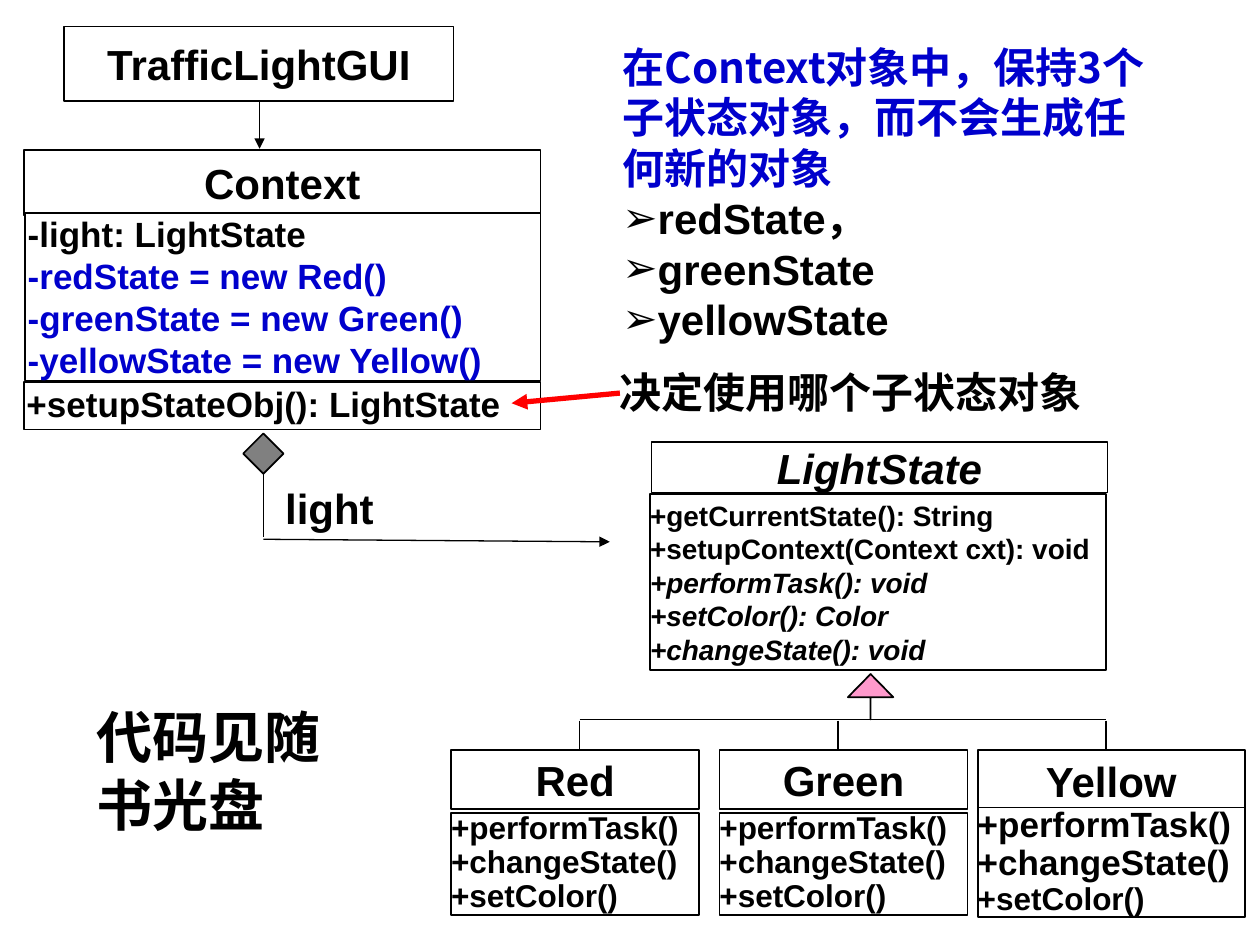
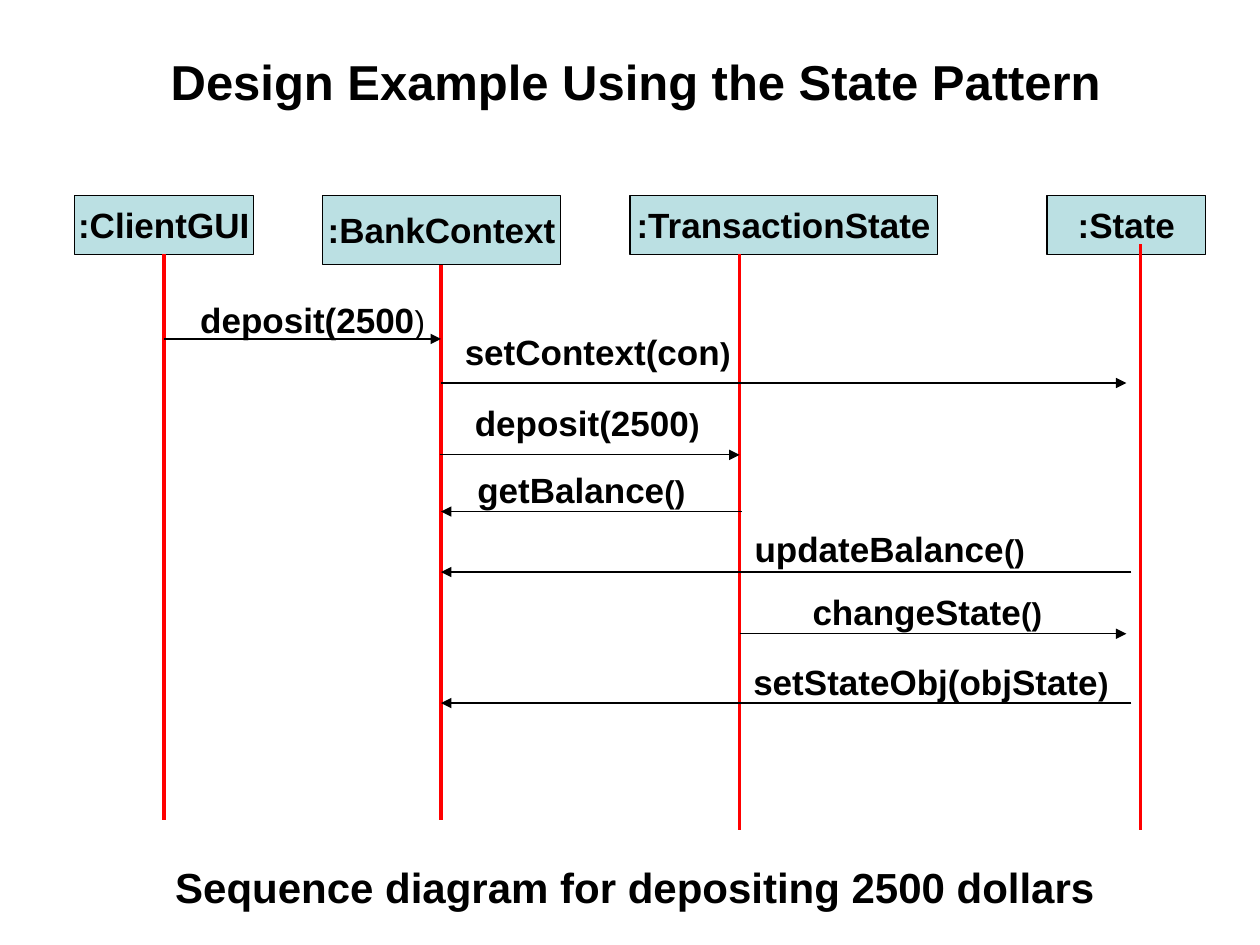
"""Builds two slides on the State pattern: a class diagram and a sequence diagram."""
import lxml.etree
import pptx
import pptx.dml.color
import pptx.enum.shapes
import pptx.enum.text
import pptx.oxml.ns
import pptx.util

PX = 9144
COLORS = {"ink": "000000", "paper": "FFFFFF", "accent": "0000CC", "red": "FF0000",
          "pink": "FF99CC", "gray": "808080", "teal": "BBE0E3"}
LATIN, CHINESE = "Arial", "Noto Sans CJK SC"
SHAPES = pptx.enum.shapes.MSO_SHAPE
ALIGN = pptx.enum.text.PP_ALIGN
ANCHOR = pptx.enum.text.MSO_ANCHOR
qn = pptx.oxml.ns.qn

ITALIC, BLUE = {"italic": True}, {"color": "accent"}
CENTER = {"align": ALIGN.CENTER}
TIGHT = {"size": 18, "spacing": 0.9}
METHODS = ["+performTask()", "+changeState()", "+setColor()"]

CLASS_BOXES = [
    ((51, 21, 309, 59), ["TrafficLightGUI"], (6, 3), CENTER),
    ((19, 119, 410, 52), ["Context"], (6, 3), CENTER),
    ((19, 303, 410, 38), ["+setupStateObj(): LightState"], (2, 4), {"size": 20, "spacing": 0.9}),
    ((20, 169, 409, 133),
     ["-light: LightState", ("-redState = new Red()", BLUE),
      ("-greenState = new Green()", BLUE), ("-yellowState = new Yellow()", BLUE)],
     (2, 0), {"size": 20}),
    ((517, 351, 362, 40), [("LightState", ITALIC)], (0, 0), CENTER),
    ((516, 392, 362, 140),
     ["+getCurrentState(): String", "+setupContext(Context cxt): void",
      ("+performTask(): void", ITALIC), ("+setColor(): Color", ITALIC),
      ("+changeState(): void", ITALIC)], (0, 0), {"size": 16}),
    ((358, 595, 197, 47), ["Red"], (0, 0), CENTER),
    ((358, 645, 197, 81), METHODS, (0, 0), TIGHT),
    ((571, 595, 197, 47), ["Green"], (0, 0), CENTER),
    ((571, 645, 197, 81), METHODS, (0, 0), TIGHT),
    ((776, 595, 212, 49), ["Yellow"], (0, 0), CENTER),
    ((776, 641, 212, 87), [(name, {"size": 20}) for name in METHODS[:2]] + METHODS[2:],
     (0, 0), TIGHT),
]
CLASS_LINKS = [
    ((206, 80, 206, 118), 0.75, True),
    ((209, 375, 209, 426), 0.75, False),
    ((209, 428, 484, 430), 0.75, True),
    ((460, 571, 878, 571), 1, False),
    *[((x, 572, x, 595), 1, False) for x in (460, 665, 878)],
]
STATE_NOTE = "在Context对象中，保持3个子状态对象，而不会生成任何新的对象"
STATE_NAMES = ["redState，", "greenState", "yellowState"]
CHOICE_NOTE = "决定使用哪个子状态对象"
CODE_NOTE = ["代码见随", "书光盘"]

SEQUENCE_TITLE = "Design Example Using the State Pattern"
SEQUENCE_CAPTION = "Sequence diagram for depositing 2500 dollars"
PARTICIPANTS = [
    (":ClientGUI", (59, 155, 142, 47), (130, 202, 651)),
    (":BankContext", (256, 155, 189, 55), (350, 210, 651)),
    (":TransactionState", (500, 155, 244, 47), (587, 202, 659)),
    (":State", (831, 155, 126, 47), (905, 194, 659)),
]
MESSAGES = [
    ("deposit(2500", ")", (159, 237), 0, (130, 350, 269)),
    ("setContext(con", ")", (369, 262), 1, (350, 894, 304)),
    ("deposit(2500", ")", (377, 319), 1, (349, 587, 361)),
    ("getBalance", "()", (379, 372), 1, (589, 350, 406)),
    ("updateBalance", "()", (599, 419), 1, (898, 350, 454)),
    ("changeState", "()", (645, 469), 1, (587, 894, 503)),
    ("setStateObj(objState", ")", (598, 524), 1, (898, 350, 558)),
]


def px(*lengths):
    return [pptx.util.Emu(length * PX) for length in lengths]


def rgb(name):
    return pptx.dml.color.RGBColor.from_string(COLORS[name])


def write(frame, lines, inset=(10, 5), anchor=ANCHOR.TOP, wrap=True, bullet_from=None, **style):
    frame.word_wrap = wrap
    frame.auto_size = pptx.enum.text.MSO_AUTO_SIZE.NONE
    frame.vertical_anchor = anchor
    frame.margin_left, frame.margin_top = frame.margin_right, frame.margin_bottom = px(*inset)
    for index, line in enumerate(lines):
        text, changes = (line, {}) if isinstance(line, str) else line
        look = {**style, **changes}
        para = frame.paragraphs[0] if index == 0 else frame.add_paragraph()
        para.text = text
        para.alignment = look.get("align", ALIGN.LEFT)
        para.line_spacing = look.get("spacing", 1.0)
        para.space_before = pptx.util.Pt(0)
        if bullet_from is not None:
            set_bullet(para, index >= bullet_from)
        font = para.font
        font.size = pptx.util.Pt(look.get("size", 24))
        font.bold = True
        font.italic = look.get("italic", False)
        font.color.rgb = rgb(look.get("color", "ink"))
        font.name = look.get("font", LATIN)
        defaults = para._p.get_or_add_pPr().find(qn("a:defRPr"))
        lxml.etree.SubElement(defaults, qn("a:ea"), typeface=CHINESE)


def set_bullet(para, shown):
    props = para._p.get_or_add_pPr()
    props.set("marL", "0")
    props.set("indent", "0")
    if shown:
        color = lxml.etree.SubElement(props, qn("a:buClr"))
        lxml.etree.SubElement(color, qn("a:srgbClr"), val=COLORS["ink"])
        lxml.etree.SubElement(props, qn("a:buChar"), char="➢")
    else:
        lxml.etree.SubElement(props, qn("a:buNone"))


def add_shape(page, kind, place, fill, width=1):
    shape = page.shapes.add_shape(kind, *px(*place))
    shape.shadow.inherit = False
    shape.fill.solid()
    shape.fill.fore_color.rgb = rgb(fill)
    shape.line.color.rgb = rgb("ink")
    shape.line.width = pptx.util.Pt(width)
    return shape


def add_text(page, place, lines, **style):
    box = page.shapes.add_textbox(*px(*place))
    write(box.text_frame, lines, **style)
    return box


def add_line(page, ends, width=0.75, arrow=False, color="ink"):
    straight = pptx.enum.shapes.MSO_CONNECTOR.STRAIGHT
    line = page.shapes.add_connector(straight, *px(*ends))
    line.line.color.rgb = rgb(color)
    line.line.width = pptx.util.Pt(width)
    props = line.element.spPr
    if arrow:
        lxml.etree.SubElement(props.find(qn("a:ln")), qn("a:tailEnd"), type="triangle")
    lxml.etree.SubElement(props, qn("a:effectLst"))


def move(shape, place):
    shape.left, shape.top, shape.width, shape.height = px(*place)


def build_class_diagram(deck):
    page = deck.slides.add_slide(deck.slide_layouts[1])
    title = page.shapes.title.element
    title.getparent().remove(title)
    for place, lines, inset, style in CLASS_BOXES:
        box = add_shape(page, SHAPES.RECTANGLE, place, "paper")
        write(box.text_frame, lines, inset=inset, anchor=ANCHOR.MIDDLE, **style)
    for ends, width, arrow in CLASS_LINKS:
        add_line(page, ends, width, arrow)
    add_shape(page, SHAPES.DIAMOND, (193, 344, 32, 32), "gray")
    inheritance = add_shape(page, SHAPES.UP_ARROW, (673, 535, 36, 36), "pink")
    inheritance.adjustments[0] = 0
    inheritance.adjustments[1] = 0.51
    add_text(page, (216, 383, 91, 40), ["light"], inset=(0, 0), **CENTER)

    body = page.placeholders[1]
    move(body, (484, 28, 441, 250))
    note = (STATE_NOTE, {"font": CHINESE, "color": "accent"})
    write(body.text_frame, [note, *STATE_NAMES], bullet_from=1)
    add_text(page, (492, 286, 378, 50), [CHOICE_NOTE], inset=(0, 5), font=CHINESE)
    add_line(page, (492, 312, 406, 320), 3, True, "red")
    add_text(page, (67, 553, 220, 117), CODE_NOTE, size=32, font=CHINESE)


def build_sequence_diagram(deck):
    page = deck.slides.add_slide(deck.slide_layouts[5])
    title = page.shapes.title
    move(title, (83, 36, 843, 57))
    write(title.text_frame, [SEQUENCE_TITLE], size=28, **CENTER)
    for name, place, (x, top, bottom) in PARTICIPANTS:
        box = add_shape(page, SHAPES.RECTANGLE, place, "teal", 0.75)
        write(box.text_frame, [name], anchor=ANCHOR.MIDDLE, wrap=False, size=20, **CENTER)
        add_line(page, (x, top, x, bottom), 2, color="red")
    for call, ending, (left, top), bold, (start, end, y) in MESSAGES:
        label = add_text(page, (left - 10, top - 5, 302, 44), [call], size=20)
        span = label.text_frame.paragraphs[0].add_run()
        span.text = ending
        span.font.size = pptx.util.Pt(18)
        span.font.bold = bool(bold)
        add_line(page, (start, y, end, y), arrow=True)
    add_text(page, (67, 679, 874, 50), [SEQUENCE_CAPTION], **CENTER)


def main():
    deck = pptx.Presentation()
    deck.slide_width, deck.slide_height = px(1000, 750)
    build_class_diagram(deck)
    build_sequence_diagram(deck)
    deck.save("out.pptx")


if __name__ == "__main__":
    main()
